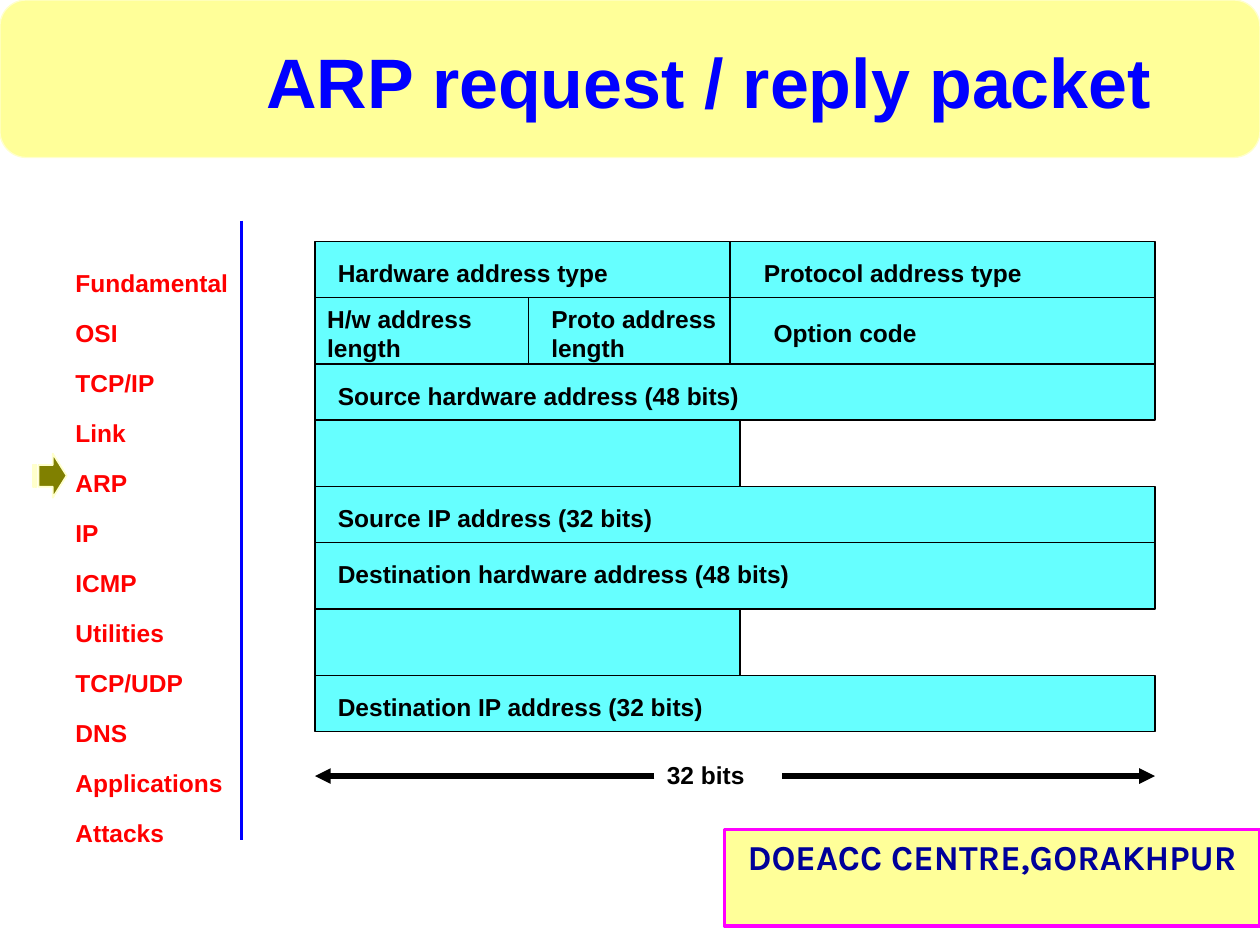
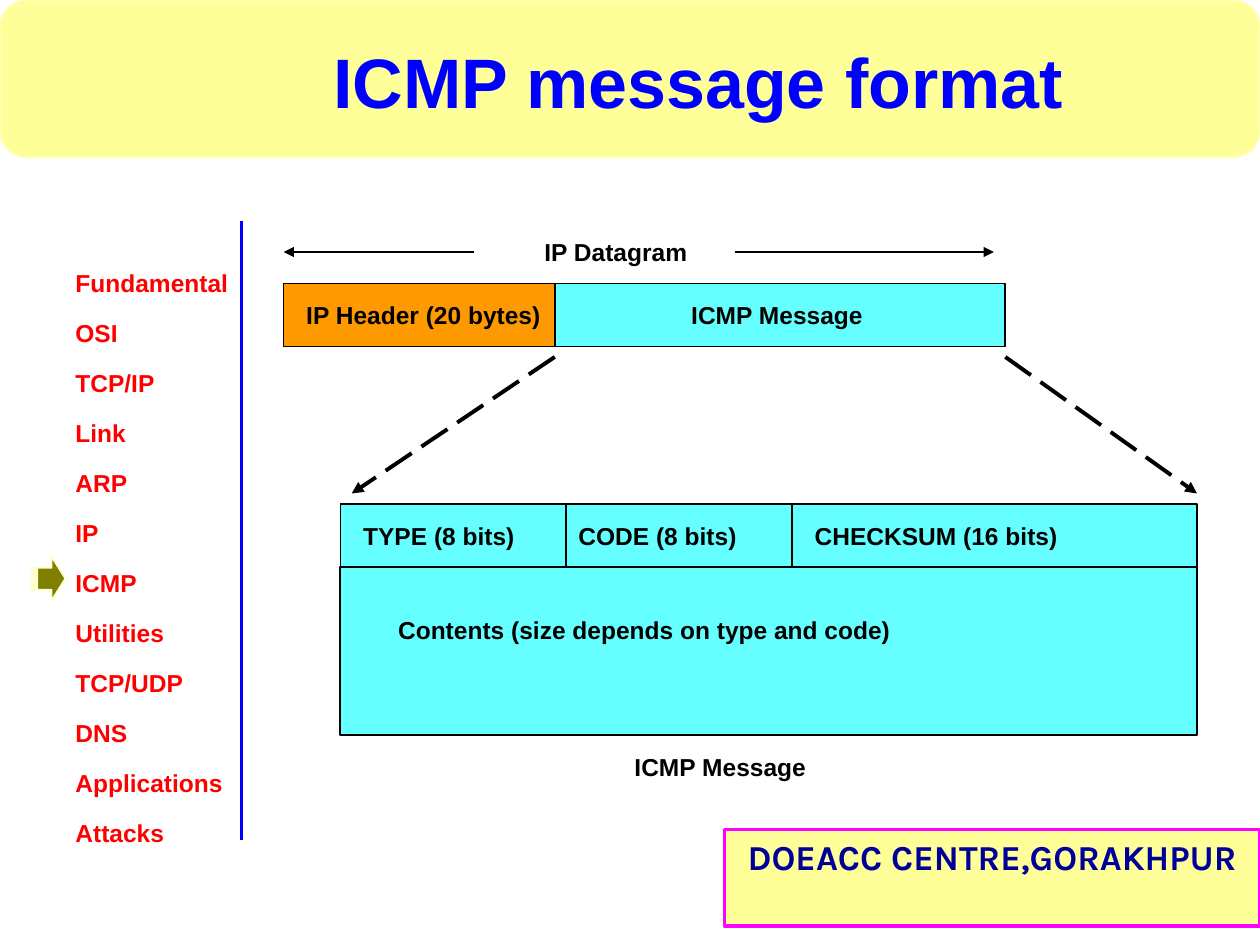
from lxml import etree
from pptx import Presentation
from pptx.dml.color import RGBColor
from pptx.enum import dml, shapes, text
from pptx.oxml.ns import qn
from pptx.util import Pt

HUES = {
    "band": "FFFF99", "rim": "FFFFCC", "title": "0000FF", "menu": "FF0000",
    "frame": "FF00FF", "centre": "000099", "mark": "808000",
    "cell": "66FFFF", "header": "FF9900", "ink": "000000",
}
TOPICS = ["Fundamental", "OSI", "TCP/IP", "Link", "ARP", "IP", "ICMP",
          "Utilities", "TCP/UDP", "DNS", "Applications", "Attacks"]
KIND = shapes.MSO_SHAPE
TALL, LOW = 38, 32  # packet row heights


def hue(name):
    return RGBColor.from_string(HUES[name])


def style(para, size, color, face="Arial"):
    font = para.font
    font.name, font.size, font.bold = face, Pt(size), True
    font.color.rgb = hue(color)


def paint(shape, fill, line, width):
    shape.shadow.inherit = False
    shape.fill.solid()
    shape.fill.fore_color.rgb = hue(fill)
    shape.line.color.rgb = hue(line)
    shape.line.width = Pt(width)


def block(slide, kind, box, fill, line="ink", width=1):
    shape = slide.shapes.add_shape(kind, *map(Pt, box))
    paint(shape, fill, line, width)
    return shape


def write(shape, words, dx, dy):
    """Set black left-aligned text dx, dy inside a shape."""
    frame = shape.text_frame
    frame.word_wrap = True
    frame.vertical_anchor = text.MSO_ANCHOR.TOP
    frame.margin_left, frame.margin_top = Pt(dx), Pt(dy)
    frame.margin_right = frame.margin_bottom = 0
    para = frame.paragraphs[0]
    para.text = words
    para.alignment = text.PP_ALIGN.LEFT
    style(para, 14, "ink")


def cell(slide, box, words="", dx=13, dy=9.5, fill="cell"):
    shape = block(slide, KIND.RECTANGLE, box, fill)
    if words:
        write(shape, words, dx, dy)


def label(slide, box, words):
    write(slide.shapes.add_textbox(*map(Pt, box)), words, 7.2, 3.6)


def rule(slide, ends, width, color="ink", arrow=True, dash=None):
    line = slide.shapes.add_connector(
        shapes.MSO_CONNECTOR.STRAIGHT, *map(Pt, ends))
    line.line.color.rgb = hue(color)
    line.line.width = Pt(width)
    if dash:
        line.line.dash_style = dash
    props = line._element.spPr
    if arrow:
        tip = etree.SubElement(props.find(qn("a:ln")), qn("a:tailEnd"))
        tip.set("type", "triangle")
    etree.SubElement(props, qn("a:effectLst"))


# Shared layout: band, topic menu, divider and footer
def menu(slide, box):
    frame = slide.shapes.add_textbox(*map(Pt, box)).text_frame
    frame.word_wrap = True
    for i, topic in enumerate(TOPICS):
        para = frame.paragraphs[0] if i == 0 else frame.add_paragraph()
        para.text = topic
        para.line_spacing = 1.7
        style(para, 14, "menu")


def footer(slide, box):
    shape = block(slide, KIND.RECTANGLE, box, "band", "frame", 2.25)
    frame = shape.text_frame
    frame.word_wrap = True
    frame.vertical_anchor = text.MSO_ANCHOR.TOP
    para = frame.paragraphs[0]
    para.text = "DOEACC CENTRE,GORAKHPUR"
    para.alignment = text.PP_ALIGN.CENTER
    style(para, 20, "centre", "Karla")


def share(slide):
    """Draw the common parts, then move them to the slide's layout."""
    layout = slide.slide_layout
    for holder in list(layout.placeholders):
        if holder.placeholder_format.type != shapes.PP_PLACEHOLDER.TITLE:
            holder._element.getparent().remove(holder._element)
    block(slide, KIND.FLOWCHART_ALTERNATE_PROCESS, (0, 0, 720, 90),
          "band", "rim", 0.75)
    menu(slide, (36, 138, 126, 354))
    rule(slide, (138, 126, 138, 480), 1.5, "title", arrow=False)
    footer(slide, (414, 474, 306, 55))
    for shape in list(slide.shapes):
        if not shape.is_placeholder:
            layout.shapes._spTree.append(shape._element)


def head(slide, words, left):
    title = slide.shapes.title
    title.left, title.top, title.width, title.height = map(
        Pt, (left, 18, 582, 55.4))
    frame = title.text_frame
    frame.word_wrap = True
    frame.auto_size = text.MSO_AUTO_SIZE.NONE
    frame.vertical_anchor = text.MSO_ANCHOR.BOTTOM
    para = frame.paragraphs[0]
    para.text = words
    para.alignment = text.PP_ALIGN.CENTER
    style(para, 40, "title")


def marker(slide, left, top):
    """Striped arrow beside the current topic, drawn in tenths of a point."""
    stripes = [[(x, 65), (x + 8, 65), (x + 8, 190), (x, 190)]
               for x in (0, 14)]
    body = [(33, 65), (115, 65), (115, 0), (194, 126), (115, 252),
            (115, 190), (33, 190)]
    pen = slide.shapes.build_freeform(*body[0], scale=Pt(1) / 10)
    pen.add_line_segments(body[1:])
    for stripe in stripes:
        pen.move_to(*stripe[0])
        pen.add_line_segments(stripe[1:])
    paint(pen.convert_to_shape(Pt(left), Pt(top)), "mark", "rim", 1)


# ARP packet: rows of (height, cells), a cell being x, width, text, dx, dy
def packet(slide, left, top, wide):
    split, half = 237, 243
    rows = [
        (LOW, [(0, split, "Hardware address type"),
               (split, wide - split, "Protocol address type", 19.5)]),
        (TALL, [(0, 122, "H/w address length", 7, 3.6),
                (122, split - 122, "Proto address length", 13, 3.6),
                (split, wide - split, "Option code", 25, 12)]),
        (LOW, [(0, wide, "Source hardware address (48 bits)")]),
        (TALL, [(0, half)]),
        (LOW, [(0, wide, "Source IP address (32 bits)")]),
        (TALL, [(0, wide, "Destination hardware address (48 bits)")]),
        (TALL, [(0, half)]),
        (LOW, [(0, wide, "Destination IP address (32 bits)")]),
    ]
    y = top
    for high, cells in rows:
        for x, width, *rest in cells:
            cell(slide, (left + x, y, width, high), *rest)
        y += high
    # Width scale
    label(slide, (left + 194, y + 13, 67, 24), "32 bits")
    y += 25.5
    rule(slide, (left + 267, y, left + wide, y), 3)
    rule(slide, (left + 194, y, left, y), 3)


# IP datagram: width scale above header and message
def datagram(slide, left, top, wide, high):
    part = 155
    cell(slide, (left + part, top, wide - part, high), "ICMP Message", 78)
    cell(slide, (left, top, part, high), "IP Header (20 bytes)",
         fill="header")
    y = top - 18
    rule(slide, (left + 258, y, left + 406, y), 1)
    rule(slide, (left + 109, y, left, y), 1)
    label(slide, (left + 142, y - 12, 110, 24), "IP Datagram")


# ICMP message: three fields over the contents
def message(slide, left, top, wide, high):
    field, row = 129, 36
    cell(slide, (left, top, field, row), "TYPE (8 bits)")
    cell(slide, (left + field, top, field, row), "CODE (8 bits)", 7)
    cell(slide, (left + 2 * field, top, wide - 2 * field, row),
         "CHECKSUM (16 bits)")
    cell(slide, (left, top + row, wide, high - row),
         "Contents (size depends on type and code)", 33, 27.5)
    label(slide, (left + 161, top + high + 6, 180, 24), "ICMP Message")


def main():
    deck = Presentation()
    deck.slide_width, deck.slide_height = Pt(720), Pt(540)
    plain = deck.slide_layouts[5]

    # ARP slide
    slide = deck.slides.add_slide(plain)
    share(slide)
    head(slide, "ARP request / reply packet", 114)
    marker(slide, 18.7, 259.2)
    packet(slide, 180, 138, 480)

    # ICMP slide
    slide = deck.slides.add_slide(plain)
    head(slide, "ICMP message format", 108)
    marker(slide, 18, 318)
    datagram(slide, 162, 162, 412.5, 36)
    message(slide, 194.5, 288, 489.5, 132)
    for start, end in ((317, 201), (574.5, 684)):
        rule(slide, (start, 204, end, 282), 2.25,
             dash=dml.MSO_LINE.LONG_DASH)

    deck.save("out.pptx")


if __name__ == "__main__":
    main()
